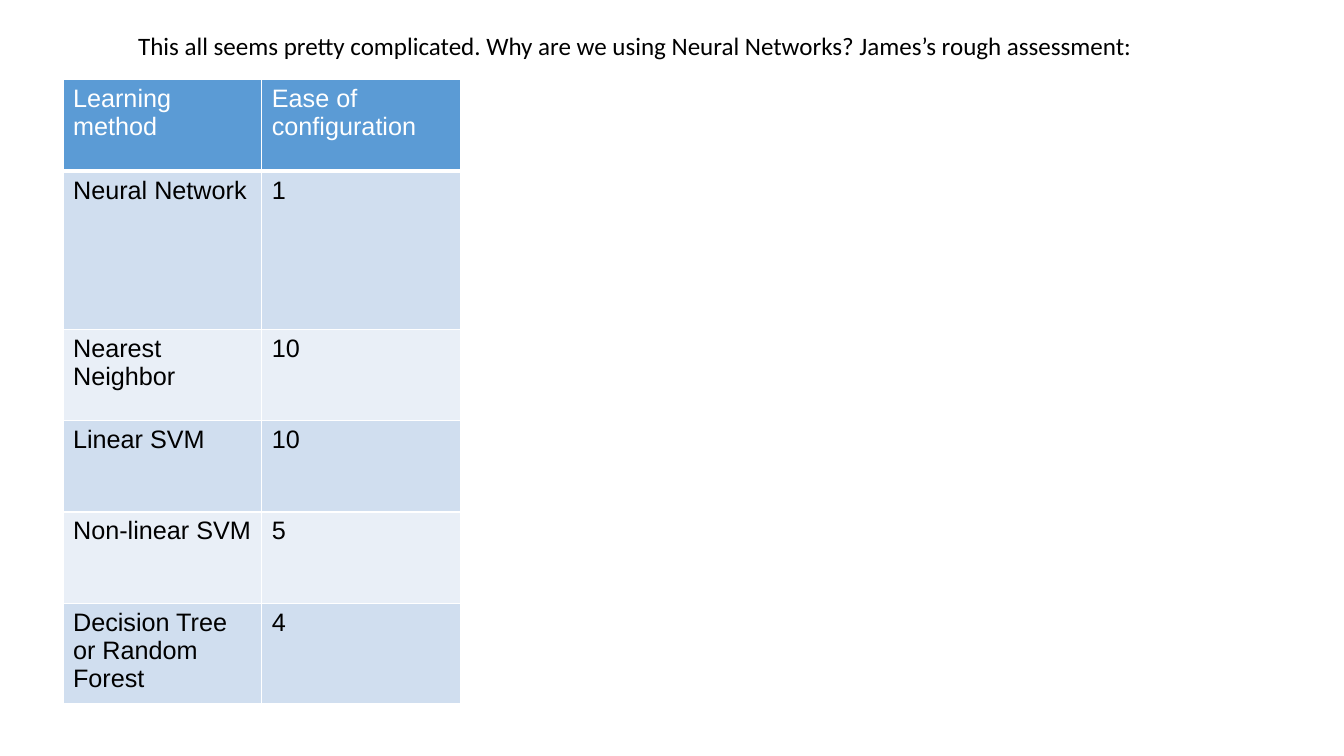
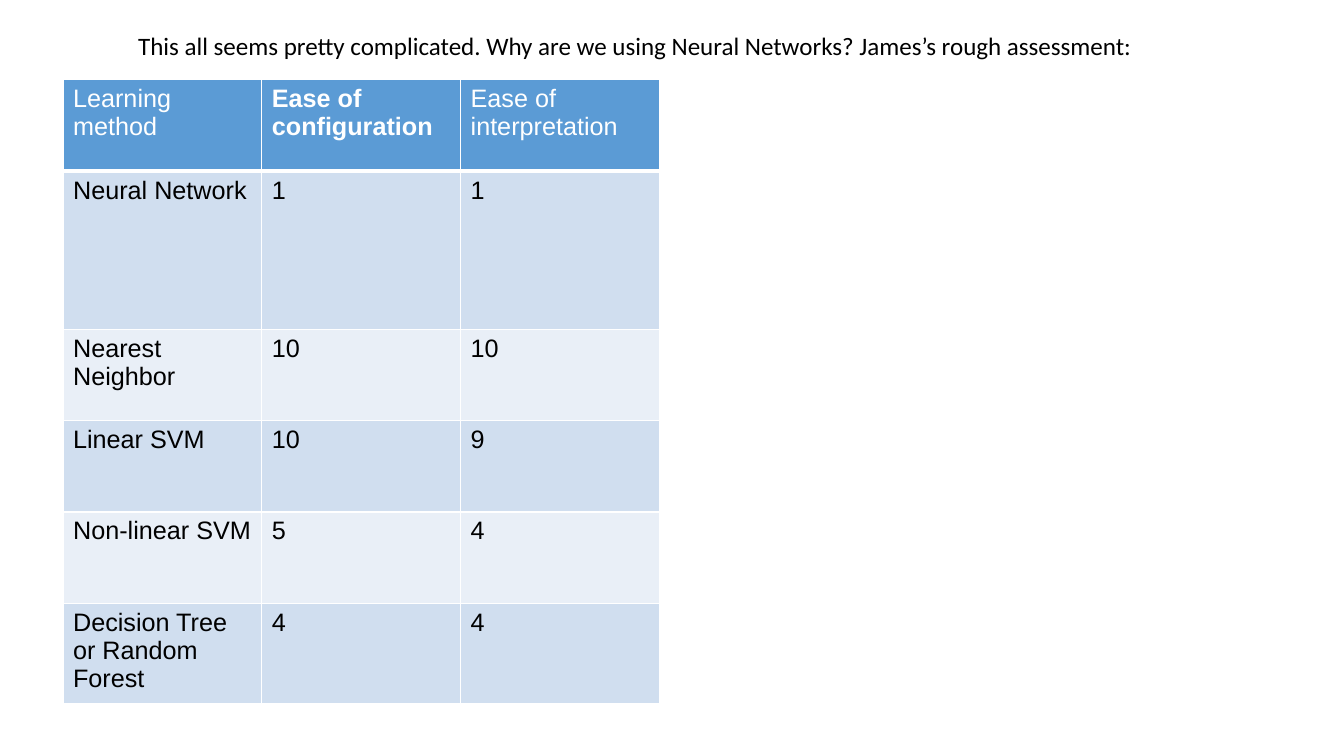
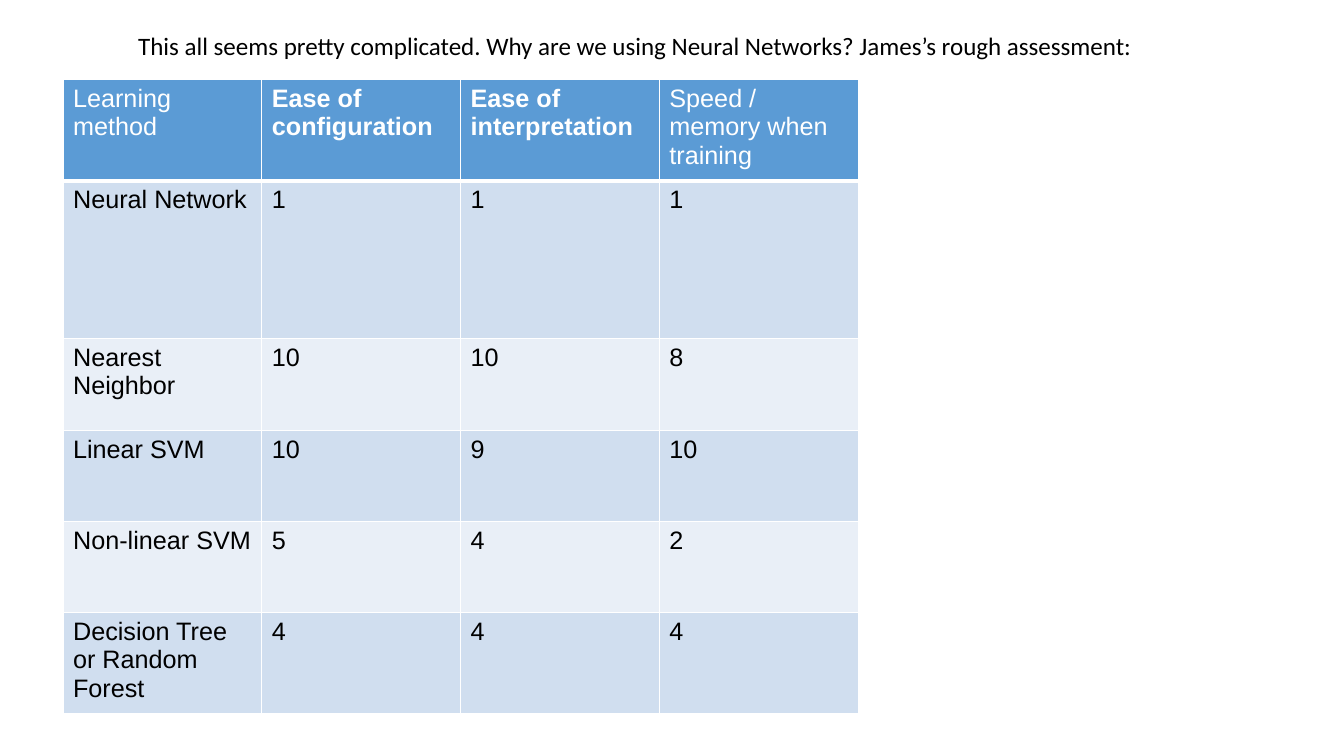
from lxml import etree
from pptx import Presentation
from pptx.dml.color import RGBColor
from pptx.enum.text import MSO_ANCHOR, MSO_AUTO_SIZE, PP_ALIGN
from pptx.oxml.ns import qn
from pptx.util import Pt

LEFT = PP_ALIGN.LEFT
TOP = MSO_ANCHOR.TOP
GROW = MSO_AUTO_SIZE.SHAPE_TO_FIT_TEXT
TITLE_ONLY = 5

COLORS = {
    "text": "000000",
    "white": "FFFFFF",
    "header": "5B9BD5",
    "odd_row": "D0DEEF",
    "even_row": "E9EFF7",
}
TITLE_FONT = {"name": "Calibri", "size": Pt(17.9), "bold": False}
CELL_FONT = {"name": "Arial", "size": Pt(18)}
INSETS = {
    "margin_left": Pt(7.2),
    "margin_right": Pt(7.2),
    "margin_top": Pt(3.6),
    "margin_bottom": Pt(3.6),
}
TITLE_FRAME = INSETS | {"word_wrap": True, "auto_size": GROW, "vertical_anchor": TOP}
TITLE_BOX = {"left": Pt(91.5), "top": Pt(18), "width": Pt(795.5), "height": Pt(29)}

COLUMN_WIDTH = 142
ROW_HEIGHTS = [65.25, 113, 65.25, 65.25, 65.25, 65.25]

TITLE = "This all seems pretty complicated. Why are we using Neural Networks? James’s rough assessment:"
ASSESSMENT = [
    ["Learning method", "Ease of configuration", "Ease of interpretation", "Speed / memory when training"],
    ["Neural Network", "1", "1", "1"],
    ["Nearest Neighbor", "10", "10", "8"],
    ["Linear SVM", "10", "9", "10"],
    ["Non-linear SVM", "5", "4", "2"],
    ["Decision Tree or Random Forest", "4", "4", "4"],
]


def apply_format(target, values):
    """Set every attribute in values on the target."""
    for name, value in values.items():
        setattr(target, name, value)


class Deck:
    """Hold the shared style and the current slide."""

    def __init__(self):
        """Start a widescreen presentation."""
        self.presentation = Presentation()
        self.presentation.slide_width = Pt(960)
        self.presentation.slide_height = Pt(540)
        self.slide = None

    def color(self, name):
        """Return a named colour."""
        return RGBColor.from_string(COLORS[name])

    def add_slide(self, title):
        """Add a slide with a title."""
        layout = self.presentation.slide_layouts[TITLE_ONLY]
        self.slide = self.presentation.slides.add_slide(layout)
        shape = self.slide.shapes.title
        apply_format(shape, TITLE_BOX)
        apply_format(shape.text_frame, TITLE_FRAME)
        self.add_text(shape.text_frame, title, TITLE_FONT, "text")

    def add_text(self, text_frame, text, font, color):
        """Fill a text frame with one left-aligned paragraph."""
        paragraph = text_frame.paragraphs[0]
        paragraph.alignment = LEFT
        run = paragraph.add_run()
        run.text = text
        apply_format(run.font, font)
        run.font.color.rgb = self.color(color)

    def add_borders(self, cell, top, bottom):
        """Draw white borders around a cell."""
        properties = cell._tc.get_or_add_tcPr()
        for side, width in {"L": 1, "R": 1, "T": top, "B": bottom}.items():
            line = etree.SubElement(properties, qn(f"a:ln{side}"), w=str(Pt(width)))
            fill = etree.SubElement(line, qn("a:solidFill"))
            etree.SubElement(fill, qn("a:srgbClr"), val=COLORS["white"])

    def add_table(self, rows, left, top):
        """Add a banded table whose inner column headings are bold."""
        column_count = len(rows[0])
        table = self.slide.shapes.add_table(
            len(rows), column_count, Pt(left), Pt(top),
            Pt(COLUMN_WIDTH * column_count), Pt(sum(ROW_HEIGHTS)),
        ).table
        for column in table.columns:
            column.width = Pt(COLUMN_WIDTH)
        for row_index, (row, height) in enumerate(zip(rows, ROW_HEIGHTS)):
            table.rows[row_index].height = Pt(height)
            is_header = row_index == 0
            band = "header" if is_header else "odd_row" if row_index % 2 else "even_row"
            for column_index, text in enumerate(row):
                cell = table.cell(row_index, column_index)
                apply_format(cell, INSETS)
                self.add_borders(cell, 3 if row_index == 1 else 1, 3 if is_header else 1)
                cell.fill.solid()
                cell.fill.fore_color.rgb = self.color(band)
                bold = is_header and 0 < column_index < column_count - 1
                font = CELL_FONT | {"bold": bold}
                self.add_text(cell.text_frame, text, font, "white" if is_header else "text")


def main():
    """Build the slides, each showing one more column."""
    deck = Deck()
    for column_count in (2, 3, 4):
        deck.add_slide(TITLE)
        deck.add_table([row[:column_count] for row in ASSESSMENT], 45, 57)
    deck.presentation.save("out.pptx")


if __name__ == "__main__":
    main()
